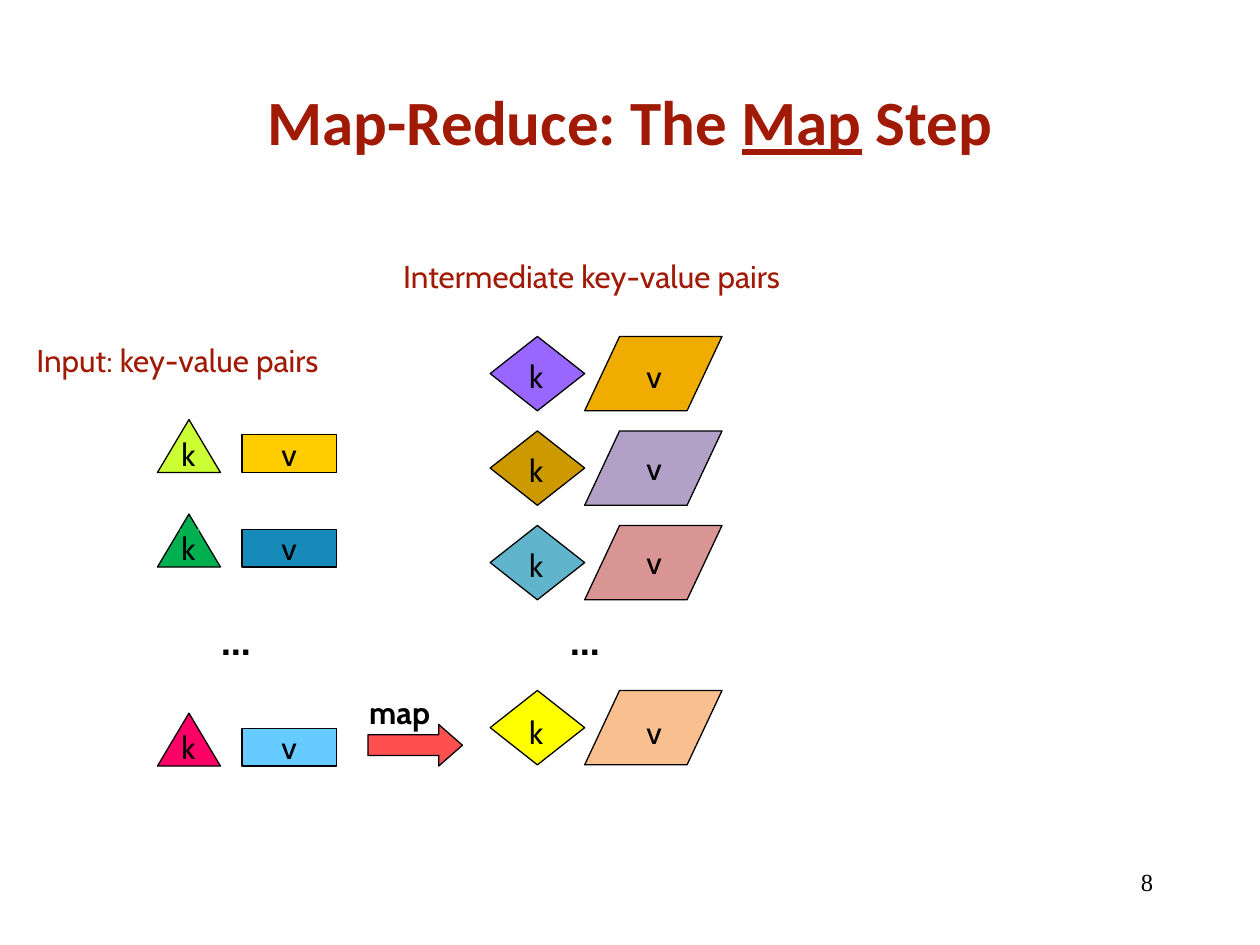
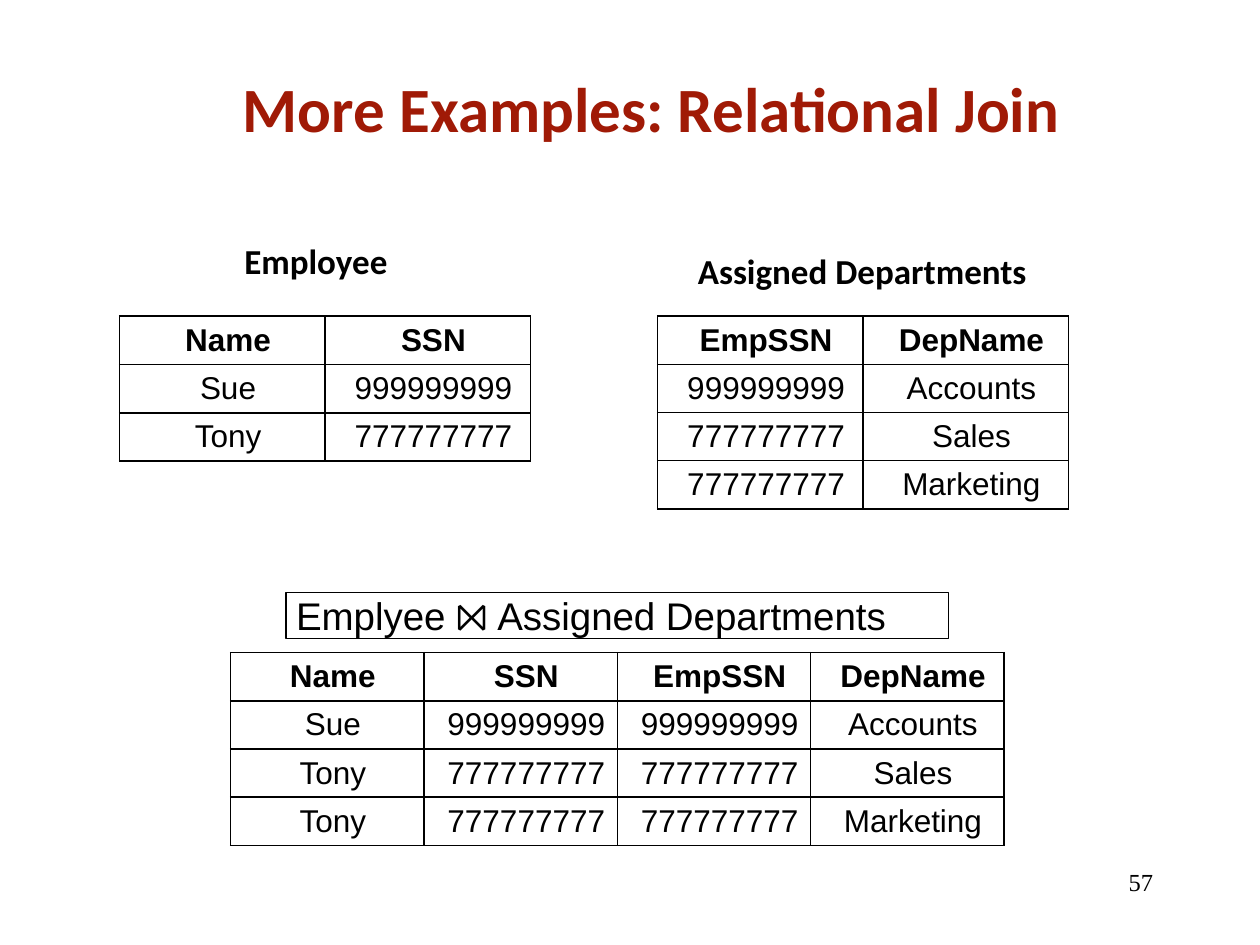
from dataclasses import dataclass
from lxml import etree
from pptx import Presentation, util as u
from pptx.dml.color import RGBColor
from pptx.enum import shapes, text
from pptx.oxml import ns

PX = 9144  # 100 px to the inch
KIND = shapes.MSO_SHAPE
ALIGN = text.PP_ALIGN
ANCHOR = text.MSO_ANCHOR


@dataclass(frozen=True)
class Theme:
    ink: str = "000000"
    red: str = "A01A06"
    paper: str = "FFFFFF"
    green: str = "00B050"
    head: str = "Calibri"
    body: str = "Cabin"
    grid: str = "Arial"
    sign: str = "Noto Sans"
    foot: str = "Times New Roman"
    big: int = 36
    dots: int = 24
    join: int = 22
    name: int = 20
    base: int = 18
    small: int = 14
    line: float = 0.75
    rule: float = 1


def write(frame, runs, font, size, color, bold=False, align=ALIGN.LEFT,
          anchor=ANCHOR.TOP, pad=(0, 0)):
    """Fill a frame with one paragraph; runs is a string or (string, changes) pairs."""
    frame.word_wrap = True
    frame.auto_size = text.MSO_AUTO_SIZE.NONE
    frame.vertical_anchor = anchor
    frame.margin_left = frame.margin_right = pad[0] * PX
    frame.margin_top = frame.margin_bottom = pad[1] * PX
    style(frame.paragraphs[0], runs, font, size, color, bold, align)


def style(para, runs, font, size, color, bold, align):
    para.alignment = align
    for words, more in [(runs, {})] if isinstance(runs, str) else runs:
        run = para.add_run()
        run.text = words
        run.font.name = more.get("font", font)
        run.font.size = u.Pt(size)
        run.font.bold = bold
        run.font.underline = more.get("under", False)
        run.font.color.rgb = RGBColor.from_string(color)


class Deck:
    def __init__(self, theme):
        self.theme = theme
        self.show = Presentation()
        self.show.slide_width, self.show.slide_height = 1000 * PX, 750 * PX
        self.slide = None

    def start(self, title, number, left, top, anchor):
        t = self.theme
        self.slide = self.show.slides.add_slide(self.show.slide_layouts[5])
        head = self.slide.shapes.title
        head.left, head.top, head.width, head.height = (
            n * PX for n in (left, top, 850, 125))
        write(head.text_frame, title, t.head, t.big, t.red, True,
              ALIGN.CENTER, anchor, (10, 5))
        self.label(number, 717, 683, 208, 50, font=t.foot, size=t.small,
                   align=ALIGN.RIGHT, pad=(10, 5))

    def label(self, words, left, top, width, height, **fmt):
        t = self.theme
        box = self.slide.shapes.add_textbox(
            left * PX, top * PX, width * PX, height * PX)
        fmt = {"font": t.body, "size": t.base, "color": t.ink, "pad": (1, 0)} | fmt
        write(box.text_frame, words, **fmt)

    def shape(self, kind, left, top, width, height, fill, adjust=(), lined=True):
        item = self.slide.shapes.add_shape(
            kind, left * PX, top * PX, width * PX, height * PX)
        item.shadow.inherit = False
        item.fill.solid()
        item.fill.fore_color.rgb = RGBColor.from_string(fill)
        if lined:
            item.line.color.rgb = RGBColor.from_string(self.theme.ink)
            item.line.width = u.Pt(self.theme.line)
        else:
            item.line.fill.background()
        for i, value in enumerate(adjust):
            item.adjustments[i] = value
        return item

    def table(self, left, top, width, height, rows):
        """Draw rows as a grid of equal cells that fills width by height."""
        t = self.theme
        wide, high = len(rows[0]), len(rows)
        grid = self.slide.shapes.add_table(
            high, wide, left * PX, top * PX, width * PX, height * PX).table
        grid.first_row = grid.horz_banding = False
        for part in grid.columns:
            part.width = width * PX // wide
        for part in grid.rows:
            part.height = height * PX // high
        for r, words in enumerate(rows):
            for c, word in enumerate(words):
                cell = grid.cell(r, c)
                self.edge(cell)
                cell.fill.background()
                cell.vertical_anchor = ANCHOR.MIDDLE
                cell.margin_left = 9 * PX
                cell.margin_right = cell.margin_top = cell.margin_bottom = 0
                style(cell.text_frame.paragraphs[0], word, t.grid, t.base,
                      t.ink, r == 0, ALIGN.CENTER)

    def edge(self, cell):
        """Draw a thin line on all four sides of a table cell."""
        props = cell._tc.get_or_add_tcPr()
        for side in "LRTB":
            line = etree.SubElement(props, ns.qn(f"a:ln{side}"),
                                    w=str(u.Pt(self.theme.rule)))
            fill = etree.SubElement(line, ns.qn("a:solidFill"))
            etree.SubElement(fill, ns.qn("a:srgbClr"), val=self.theme.ink)


def draw_map(deck):
    t = deck.theme
    deck.start([("Map-Reduce: The ", {}), ("Map", {"under": True}), (" Step", {})],
               "8", 75, 33, ANCHOR.MIDDLE)
    deck.label("Input: key-value pairs", 19, 266, 263, 40, color=t.red, pad=(10, 5))
    deck.label("Intermediate key-value pairs", 319, 204, 327, 30, color=t.red)

    for top, key, value in ((333, "CCFF33", "FFCC00"),
                            (408, t.green, "168BBA"),
                            (566, "FF0066", "66CCFF")):
        deck.shape(KIND.ISOSCELES_TRIANGLE, 125, top, 50, 42, key)
        spot = (143, top + 12, 15, 28)
        if key == t.green:
            plate = deck.shape(KIND.RECTANGLE, *spot, key, lined=False)
            write(plate.text_frame, "k", t.body, t.base, t.ink, pad=(1, 0))
        else:
            deck.label("k", *spot)
        bar = deck.shape(KIND.RECTANGLE, 192, top + 12, 75, 30, value)
        write(bar.text_frame, "v", t.body, t.base, t.ink, align=ALIGN.CENTER)

    for top, key, value, k_drop, v_drop in ((267, "9966FF", "F0AD00", 16, 16),
                                            (342, "CC9900", "B2A0C7", 16, 14),
                                            (417, "60B5CC", "D99593", 16, 14),
                                            (548, "FFFF00", "FABF8E", 18, 18)):
        deck.shape(KIND.DIAMOND, 389, top, 75, 59, key)
        deck.shape(KIND.PARALLELOGRAM, 464, top, 109, 59, value, [0.47])
        deck.label("k", 419, top + k_drop, 15, 28)
        deck.label("v", 512, top + v_drop, 14, 28)

    for left in (175, 452):
        deck.label("…", left, 487, 32, 36, size=t.dots, bold=True)
    deck.shape(KIND.RIGHT_ARROW, 292, 575, 75, 33, "FF5050", [0.5, 0.57])
    deck.label("map", 292, 550, 51, 28, bold=True)


def draw_join(deck):
    t = deck.theme
    deck.start("More Examples: Relational Join", "57", 92, 50, ANCHOR.TOP)
    staff = [("Name", "SSN"), ("Sue", "999999999"), ("Tony", "777777777")]
    posts = [("EmpSSN", "DepName"), ("999999999", "Accounts"),
             ("777777777", "Sales"), ("777777777", "Marketing")]
    joined = [staff[0] + posts[0]] + [
        person + post for person in staff[1:] for post in posts[1:]
        if person[1] == post[0]]

    for words, left, top, width in (("Employee", 184, 185, 135),
                                    ("Assigned Departments", 544, 193, 284)):
        deck.label(words, left, top, width, 44, font=t.head, size=t.name,
                   bold=True, pad=(10, 5))
    deck.table(95, 251, 326, 115, staff)
    deck.table(522, 251, 326, 153, posts)

    box = deck.shape(KIND.RECTANGLE, 227, 470, 526, 37, t.paper)
    write(box.text_frame,
          [("Emplyee ", {}), ("⨝ ", {"font": t.sign}), ("Assigned Departments", {})],
          t.grid, t.join, t.ink, pad=(8, 0))
    deck.table(183, 518, 614, 153, joined)


def main():
    deck = Deck(Theme())
    draw_map(deck)
    draw_join(deck)
    deck.show.save("out.pptx")


if __name__ == "__main__":
    main()
